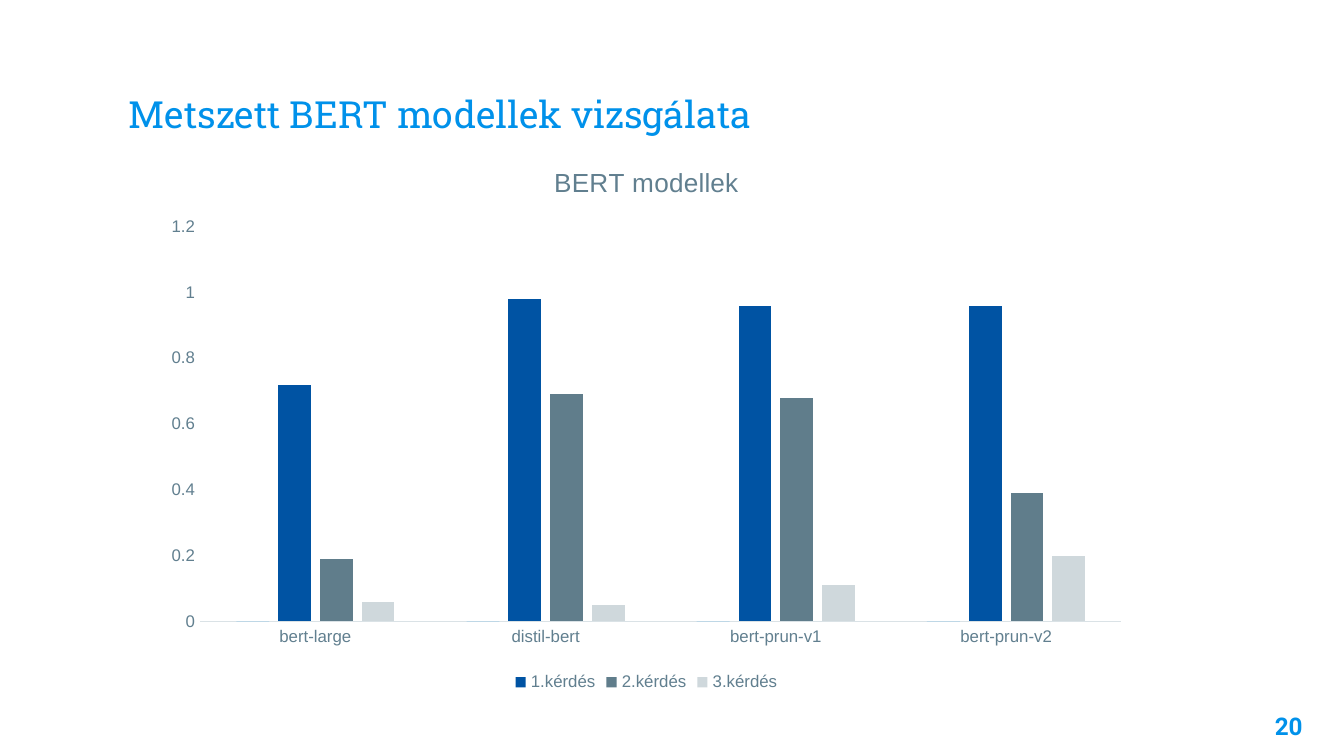
import dataclasses

import lxml.etree
import pptx
import pptx.chart.data
import pptx.dml.color
import pptx.enum.chart
import pptx.enum.text
import pptx.oxml.ns
import pptx.util

Inches = pptx.util.Inches


@dataclasses.dataclass(frozen=True)
class Theme:
    """Hold the colours, fonts and type sizes of the slide."""
    background: str = "FFFFFF"
    accent: str = "0091EA"
    text: str = "263238"
    muted: str = "617F8F"
    axis_line: str = "DAE2E6"
    series: tuple = ("0091EA", "0053A3", "607D8B", "CFD8DC")
    title_font: str = "Roboto Slab"
    number_font: str = "Roboto"
    chart_font: str = "Arial"
    title_size: int = 20
    number_size: int = 13
    chart_title_size: int = 14
    chart_size: int = 10
    label_size: int = 9


THEME = Theme()
MODELS = ("bert-large", "distil-bert", "bert-prun-v1", "bert-prun-v2")
SCORES = {
    "Series 1": (0, 0, 0, 0),
    "1.kérdés": (0.72, 0.98, 0.96, 0.96),
    "2.kérdés": (0.19, 0.69, 0.68, 0.39),
    "3.kérdés": (0.06, 0.05, 0.11, 0.2),
}


def rgb(value):
    """Return the colour for a hexadecimal value."""
    return pptx.dml.color.RGBColor.from_string(value)


def style_font(font, name, size, color, bold=False):
    """Set the face, size, colour and weight of a font."""
    font.name = name
    font.size = pptx.util.Pt(size)
    font.color.rgb = rgb(color)
    font.bold = bold


def write_text(text_frame, text, *, align=pptx.enum.text.PP_ALIGN.LEFT, **font_format):
    """Write one formatted paragraph into a text frame."""
    paragraph = text_frame.paragraphs[0]
    paragraph.alignment = align
    run = paragraph.add_run()
    run.text = text
    style_font(run.font, **font_format)


def add_text(slide, box, text, *, anchor=pptx.enum.text.MSO_ANCHOR.TOP, **text_format):
    """Place a wrapped text box with even insets."""
    text_frame = slide.shapes.add_textbox(*map(Inches, box)).text_frame
    text_frame.word_wrap = True
    text_frame.vertical_anchor = anchor
    text_frame.margin_left = text_frame.margin_right = Inches(0.1)
    text_frame.margin_top = text_frame.margin_bottom = Inches(0.1)
    write_text(text_frame, text, **text_format)


def style_axes(chart):
    """Format the model axis and the score axis."""
    for axis in (chart.category_axis, chart.value_axis):
        axis.has_major_gridlines = False
        axis.major_tick_mark = axis.minor_tick_mark = pptx.enum.chart.XL_TICK_MARK.NONE
        style_font(axis.tick_labels.font, THEME.chart_font, THEME.label_size, THEME.muted)
    line = chart.category_axis.format.line
    line.color.rgb = rgb(THEME.axis_line)
    line.width = pptx.util.Pt(0.75)
    score_axis = chart.value_axis
    score_axis.format.line.fill.background()
    score_axis.minimum_scale, score_axis.maximum_scale = 0, 1.2
    score_axis.major_unit = 0.2
    score_axis.tick_labels.number_format = "General"
    score_axis.tick_labels.number_format_is_linked = False


def style_legend(chart, hidden_index):
    """Put the legend at the bottom and hide one entry."""
    chart.has_legend = True
    legend = chart.legend
    legend.position = pptx.enum.chart.XL_LEGEND_POSITION.BOTTOM
    legend.include_in_layout = False
    style_font(legend.font, THEME.chart_font, THEME.label_size, THEME.muted)
    qn = pptx.oxml.ns.qn
    entry = lxml.etree.Element(qn("c:legendEntry"))
    lxml.etree.SubElement(entry, qn("c:idx")).set("val", str(hidden_index))
    lxml.etree.SubElement(entry, qn("c:delete")).set("val", "1")
    legend._element.find(qn("c:legendPos")).addnext(entry)


def add_score_chart(slide, box):
    """Place the clustered column chart of model scores."""
    data = pptx.chart.data.CategoryChartData()
    data.categories = MODELS
    for name, values in SCORES.items():
        data.add_series(name, values)
    kind = pptx.enum.chart.XL_CHART_TYPE.COLUMN_CLUSTERED
    chart = slide.shapes.add_chart(kind, *map(Inches, box), data).chart
    style_font(chart.font, THEME.chart_font, THEME.chart_size, THEME.text)
    chart.has_title = True
    chart.chart_title.include_in_layout = False
    write_text(chart.chart_title.text_frame, "BERT modellek",
               align=pptx.enum.text.PP_ALIGN.CENTER, name=THEME.chart_font,
               size=THEME.chart_title_size, color=THEME.muted)
    plot = chart.plots[0]
    plot.gap_width, plot.overlap = 219, -27
    plot.vary_by_categories = False
    for series, color in zip(plot.series, THEME.series):
        series.format.fill.solid()
        series.format.fill.fore_color.rgb = rgb(color)
    style_axes(chart)
    style_legend(chart, hidden_index=0)


def build_slide(presentation, box):
    """Build the score slide with its parts relative to the box."""
    left, top, width, height = box
    slide = presentation.slides.add_slide(presentation.slide_layouts[6])
    slide.background.fill.solid()
    slide.background.fill.fore_color.rgb = rgb(THEME.background)
    add_text(slide, (left + 0.86, top + 0.34, width - 1.72, 0.77),
             "Metszett BERT modellek vizsgálata",
             anchor=pptx.enum.text.MSO_ANCHOR.BOTTOM, name=THEME.title_font,
             size=THEME.title_size, color=THEME.accent)
    add_text(slide, (left + width - 0.81, top + height - 0.43, 0.6, 0.43), "20",
             align=pptx.enum.text.PP_ALIGN.RIGHT, name=THEME.number_font,
             size=THEME.number_size, color=THEME.accent, bold=True)
    add_score_chart(slide, (left + 1.13, top + 1.06, 7.36, 4.13))


def main():
    """Create the widescreen presentation and save it."""
    presentation = pptx.Presentation()
    width = 10
    height = width * 9 / 16
    presentation.slide_width, presentation.slide_height = Inches(width), Inches(height)
    build_slide(presentation, (0, 0, width, height))
    presentation.save("out.pptx")


if __name__ == "__main__":
    main()
